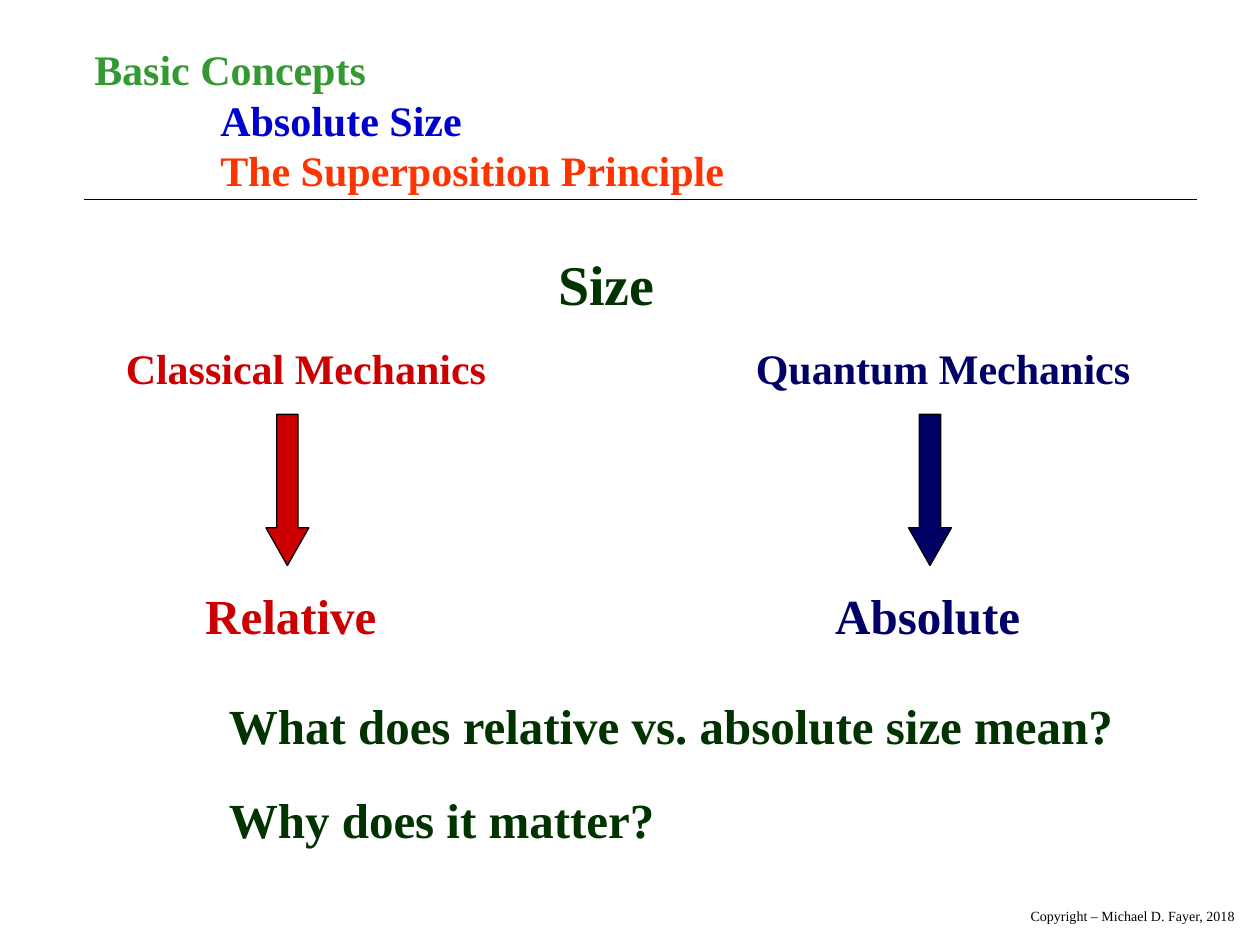
from pptx import Presentation
from pptx.util import Pt
from pptx.dml.color import RGBColor
from pptx.enum.shapes import MSO_CONNECTOR, MSO_SHAPE
from pptx.enum.text import MSO_AUTO_SIZE
from lxml.etree import SubElement
from pptx.oxml.ns import qn

theme = {
    "font": "Times New Roman",
    "green": "339933", "blue": "0000CC", "orange": "FF3300",
    "dark": "003300", "red": "CC0000", "navy": "000066", "black": "000000",
    "note": 8, "head": 24, "large": 28, "title": 32,
}


def tint(name):
    return RGBColor.from_string(theme[name])


def write(box, size, lines, bold=True, indent=0, tab=0, space=None):
    left, top, width, height = map(Pt, box)
    frame = slide.shapes.add_textbox(left, top, width, height).text_frame
    frame.word_wrap = False
    frame.auto_size = MSO_AUTO_SIZE.SHAPE_TO_FIT_TEXT
    for i, line in enumerate(lines):
        para = frame.add_paragraph() if i else frame.paragraphs[0]
        if space:
            para.line_spacing = space
        props = para._p.get_or_add_pPr()
        if i and indent:
            props.set("marL", str(Pt(indent)))
            props.set("indent", "0")
        if tab:
            stops = SubElement(props, qn("a:tabLst"))
            SubElement(stops, qn("a:tab"), pos=str(Pt(tab)), algn="l")
        for text, color in line:
            run = para.add_run()
            run.text = text
            style = {"name": theme["font"], "size": Pt(theme[size]), "bold": bold}
            for key, value in style.items():
                setattr(run.font, key, value)
            run.font.color.rgb = tint(color)


deck = Presentation()
deck.slide_width, deck.slide_height = Pt(720), Pt(540)
slide = deck.slides.add_slide(deck.slide_layouts[6])

write((46.8, 21.6, 374.4, 93.6), "head", [
    [("Basic Concepts", "green")],
    [("Absolute Size", "blue")],
    [("The Superposition Principle", "orange")],
], indent=72)

rule = slide.shapes.add_connector(
    MSO_CONNECTOR.STRAIGHT, Pt(48), Pt(114), Pt(684), Pt(114))
rule.line.color.rgb = tint("black")
rule.line.width = Pt(0.75)
SubElement(rule._element.spPr, qn("a:effectLst"))

write((581.8, 514.8, 132.5, 17.3), "note",
      [[("Copyright – Michael D. Fayer, 2018", "black")]], bold=False)
write((311.8, 139, 69.8, 45.4), "title", [[("Size", "dark")]])
write((64.8, 192.2, 588.2, 36), "head",
      [[("Classical Mechanics\t", "red"), ("Quantum Mechanics", "navy")]], tab=360)

for left, color in ((152, "red"), (519.2, "navy")):
    arrow = slide.shapes.add_shape(
        MSO_SHAPE.DOWN_ARROW, Pt(left), Pt(236.8), Pt(24.5), Pt(86.4))
    arrow.adjustments[0] = 0.5
    arrow.adjustments[1] = 0.88
    arrow.shadow.inherit = False
    arrow.fill.solid()
    arrow.fill.fore_color.rgb = tint(color)
    arrow.line.color.rgb = tint("black")
    arrow.line.width = Pt(0.75)

write((110.2, 331.2, 480.2, 41), "large",
      [[("Relative\t", "red"), ("Absolute", "navy")]], tab=360)
write((123.8, 373.7, 520.6, 114.5), "large", [
    [("What does relative vs. absolute size mean?", "dark")],
    [("Why does it matter?", "dark")],
], space=1.6)

deck.save("out.pptx")
